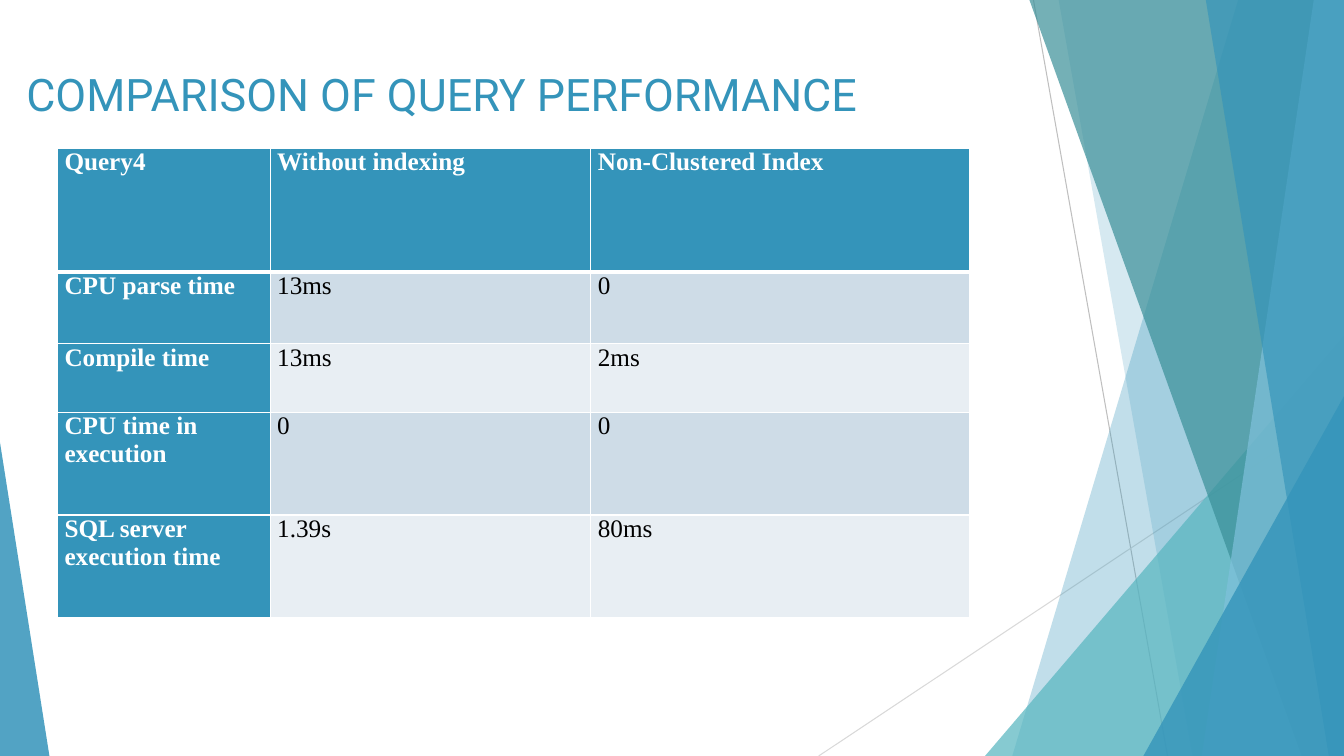
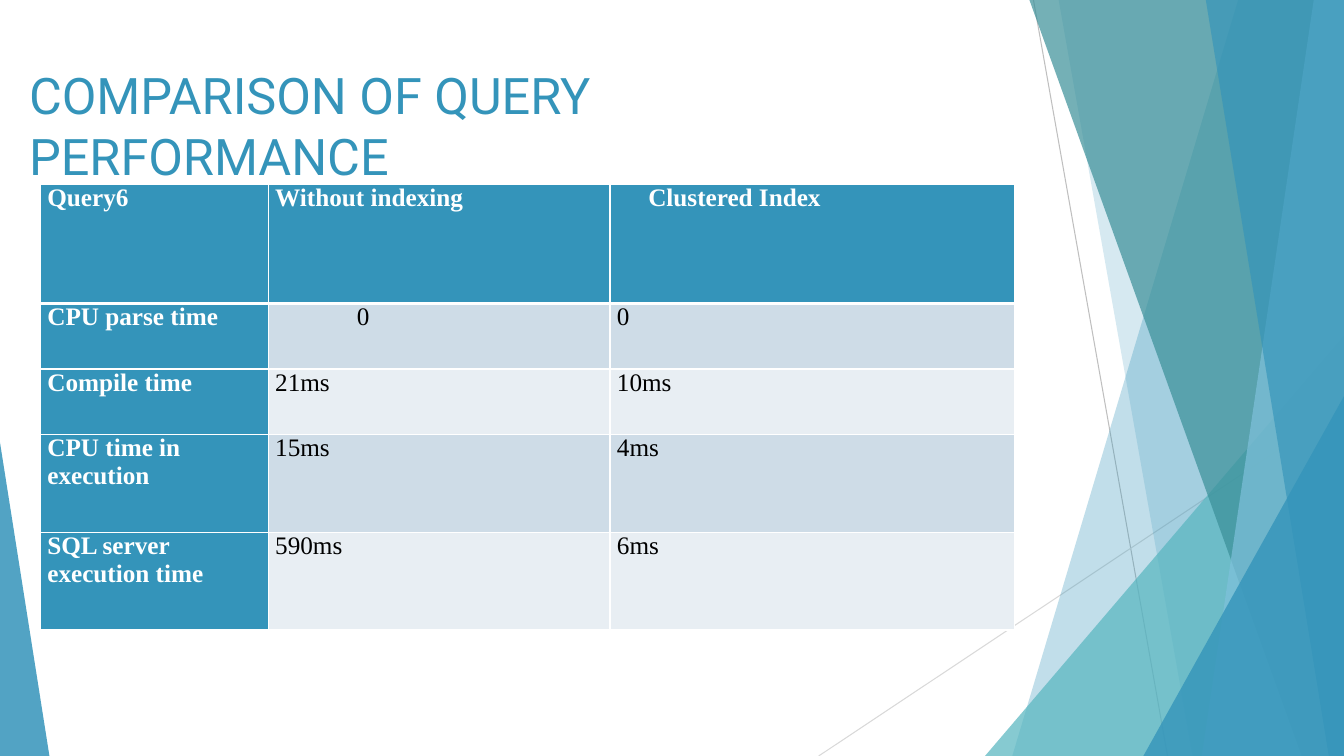
import pptx
import pptx.util
import pptx.dml.color
import pptx.enum.shapes
import pptx.enum.text
import pptx.oxml.ns
import pptx.oxml.xmlchemy

Inches = pptx.util.Inches
WIDTH, HEIGHT = 13.33, 7.5
BLUE, TEAL, DEEP_TEAL, SKY = "3494BA", "58B6C0", "3A8F98", "7FC1DB"
WHITE, BLACK = "FFFFFF", "000000"
BANDS = ("CEDCE7", "E8EEF3")
TITLE = "COMPARISON OF QUERY PERFORMANCE"
TITLE_FONT, TABLE_FONT = "Roboto", "Times New Roman"

LINES = [
    ((10.25, 0), (11.58, HEIGHT), "BFBFBF"),
    ((WIDTH, 4.03), (8.12, HEIGHT), "D9D9D9"),
]
FACETS = [
    ([(12.28, 0), (WIDTH, 0), (WIDTH, HEIGHT), (10.04, HEIGHT)], BLUE, 30),
    ([(10.5, 0), (WIDTH, 0), (WIDTH, HEIGHT), (11.83, HEIGHT)], BLUE, 20),
    ([(WIDTH, 3.33), (WIDTH, HEIGHT), (9.77, HEIGHT)], TEAL, 72),
    ([(10.21, 0), (WIDTH, 0), (WIDTH, HEIGHT), (12.91, HEIGHT)], DEEP_TEAL, 70),
    ([(13.03, 0), (WIDTH, 0), (WIDTH, HEIGHT), (11.92, HEIGHT)], SKY, 70),
    ([(11.96, 0), (WIDTH, 0), (WIDTH, HEIGHT), (13.18, HEIGHT)], BLUE, 65),
    ([(WIDTH, 3.93), (WIDTH, HEIGHT), (11.34, HEIGHT)], BLUE, 80),
    ([(0, 4.39), (0.49, HEIGHT), (0, HEIGHT)], BLUE, 85),
]
MEASURES = ["CPU parse time", "Compile time", "CPU time in execution", "SQL server execution time"]
PAGES = [
    {
        "title": {"place": (-0.74, 0.59, 10.25, 0.67), "size": 32, "align": "CENTER"},
        "origin": (0.57, 1.47),
        "columns": [2.11, 3.18, 3.76],
        "rows": [1.23, 0.71, 0.68, 1.02, 1.02],
        "header": ["Query4", "Without indexing", "Non-Clustered Index"],
        "values": [("13ms", "0"), ("13ms", "2ms"), ("0", "0"), ("1.39s", "80ms")],
        "indents": {},
    },
    {
        "title": {"place": (0.19, 0.52, 9.4, 1.44), "size": 36, "align": "LEFT"},
        "origin": (0.4, 1.83),
        "columns": [2.26, 3.39, 4.01],
        "rows": [1.18, 0.65, 0.65, 0.97, 0.97],
        "header": ["Query6", "Without indexing", "Clustered Index"],
        "values": [("0", "0"), ("21ms", "10ms"), ("15ms", "4ms"), ("590ms", "6ms")],
        "indents": {(0, 2): 0.31, (1, 1): 0.81},
    },
]


def colour(value):
    return pptx.dml.color.RGBColor.from_string(value)


def add_child(parent, tag, **attributes):
    child = pptx.oxml.xmlchemy.OxmlElement(tag)
    for name, value in attributes.items():
        child.set(name, str(value))
    parent.append(child)
    return child


def write(frame, text, size, font, fill, bold=False, align="LEFT"):
    frame.word_wrap = True
    para = frame.paragraphs[0]
    para.alignment = getattr(pptx.enum.text.PP_ALIGN, align)
    span = para.add_run()
    span.text = text
    span.font.size = pptx.util.Pt(size)
    span.font.name = font
    span.font.bold = bold
    span.font.color.rgb = colour(fill)


def draw_line(page, start, end, fill):
    line = page.shapes.add_connector(
        pptx.enum.shapes.MSO_CONNECTOR.STRAIGHT, *map(Inches, start + end))
    line.line.color.rgb = colour(fill)
    line.line.width = pptx.util.Pt(0.75)
    add_child(line._element.spPr, "a:effectLst")


def draw_facet(page, points, fill, opacity):
    corners = [(Inches(x), Inches(y)) for x, y in points]
    builder = page.shapes.build_freeform(*corners[0])
    builder.add_line_segments(corners[1:], close=True)
    facet = builder.convert_to_shape()
    facet.shadow.inherit = False
    facet.line.fill.background()
    facet.fill.solid()
    facet.fill.fore_color.rgb = colour(fill)
    tint = facet._element.spPr.find(".//" + pptx.oxml.ns.qn("a:srgbClr"))
    add_child(tint, "a:alpha", val=opacity * 1000)


def draw_title(page, place, size, align):
    box = page.shapes.add_textbox(*map(Inches, place))
    box.text_frame.vertical_anchor = pptx.enum.text.MSO_ANCHOR.MIDDLE
    write(box.text_frame, TITLE, size, TITLE_FONT, BLUE, align=align)


def set_borders(cell, top, bottom):
    properties = cell._tc.get_or_add_tcPr()
    widths = {"a:lnL": 1, "a:lnR": 1, "a:lnT": top, "a:lnB": bottom}
    for position, (tag, width) in enumerate(widths.items()):
        edge = add_child(properties, tag, w=pptx.util.Pt(width))
        add_child(add_child(edge, "a:solidFill"), "a:srgbClr", val=WHITE)
        properties.insert(position, edge)


def draw_table(page, origin, columns, rows, header, values, indents):
    content = [header] + [[name, *pair] for name, pair in zip(MEASURES, values)]
    size = (sum(columns), sum(rows))
    table = page.shapes.add_table(
        len(rows), len(columns), *map(Inches, origin + size)).table
    for column, width in zip(table.columns, columns):
        column.width = Inches(width)
    for row, height in zip(table.rows, rows):
        row.height = Inches(height)
    for r, texts in enumerate(content):
        for c, text in enumerate(texts):
            cell = table.cell(r, c)
            heading = r == 0 or c == 0
            cell.margin_left = Inches(0.07 + indents.get((r, c), 0))
            cell.margin_right = Inches(0.07)
            cell.margin_top = cell.margin_bottom = 0
            cell.fill.solid()
            cell.fill.fore_color.rgb = colour(BLUE if heading else BANDS[(r - 1) % 2])
            set_borders(cell, top=3 if r == 1 else 1, bottom=3 if r == 0 else 1)
            write(cell.text_frame, text, 18, TABLE_FONT,
                  WHITE if heading else BLACK, bold=heading)


def main():
    deck = pptx.Presentation()
    deck.slide_width, deck.slide_height = Inches(WIDTH), Inches(HEIGHT)
    for content in PAGES:
        page = deck.slides.add_slide(deck.slide_layouts[6])
        for line in LINES:
            draw_line(page, *line)
        for facet in FACETS:
            draw_facet(page, *facet)
        draw_title(page, **content["title"])
        draw_table(page, **{key: part for key, part in content.items() if key != "title"})
    deck.save("out.pptx")


if __name__ == "__main__":
    main()
